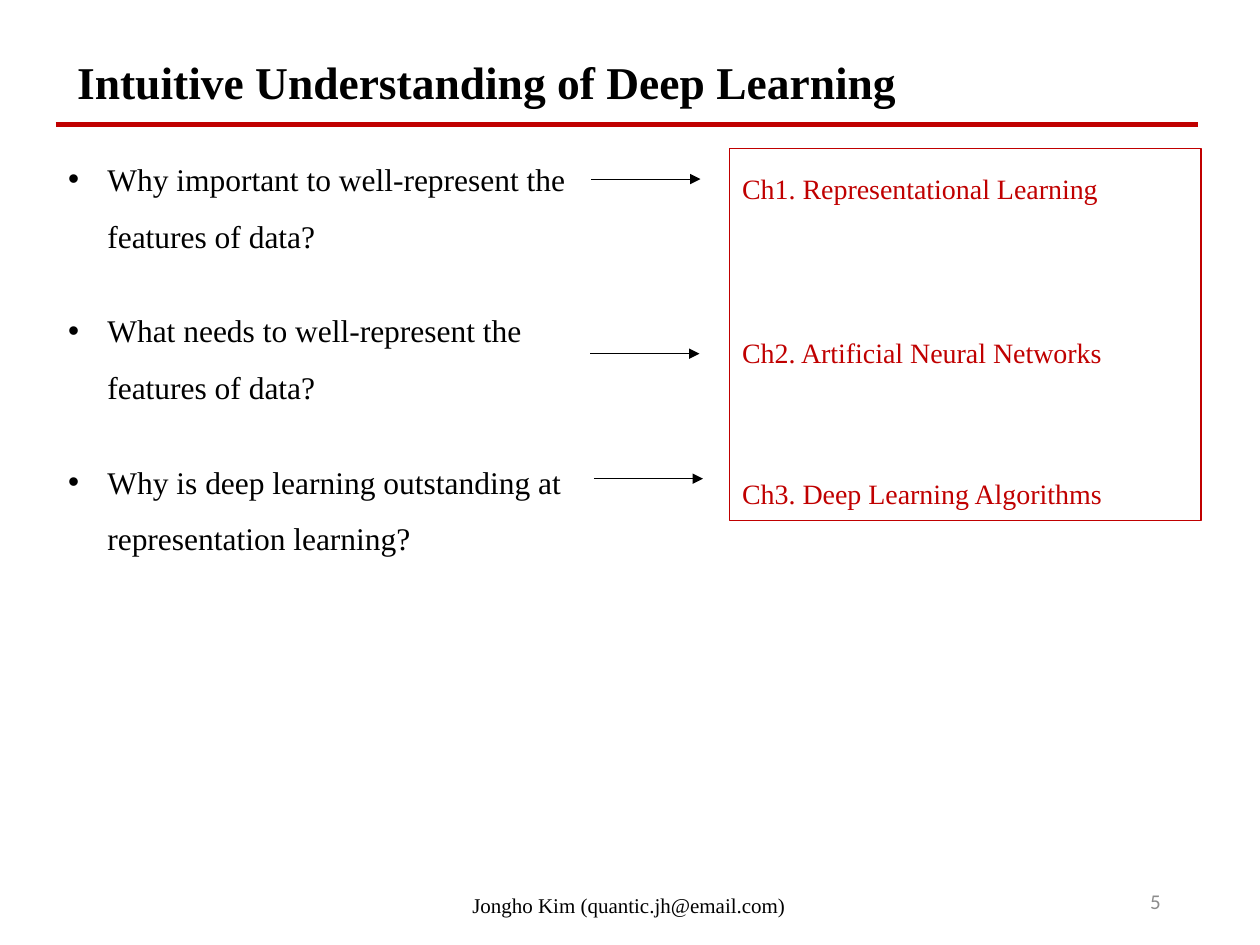
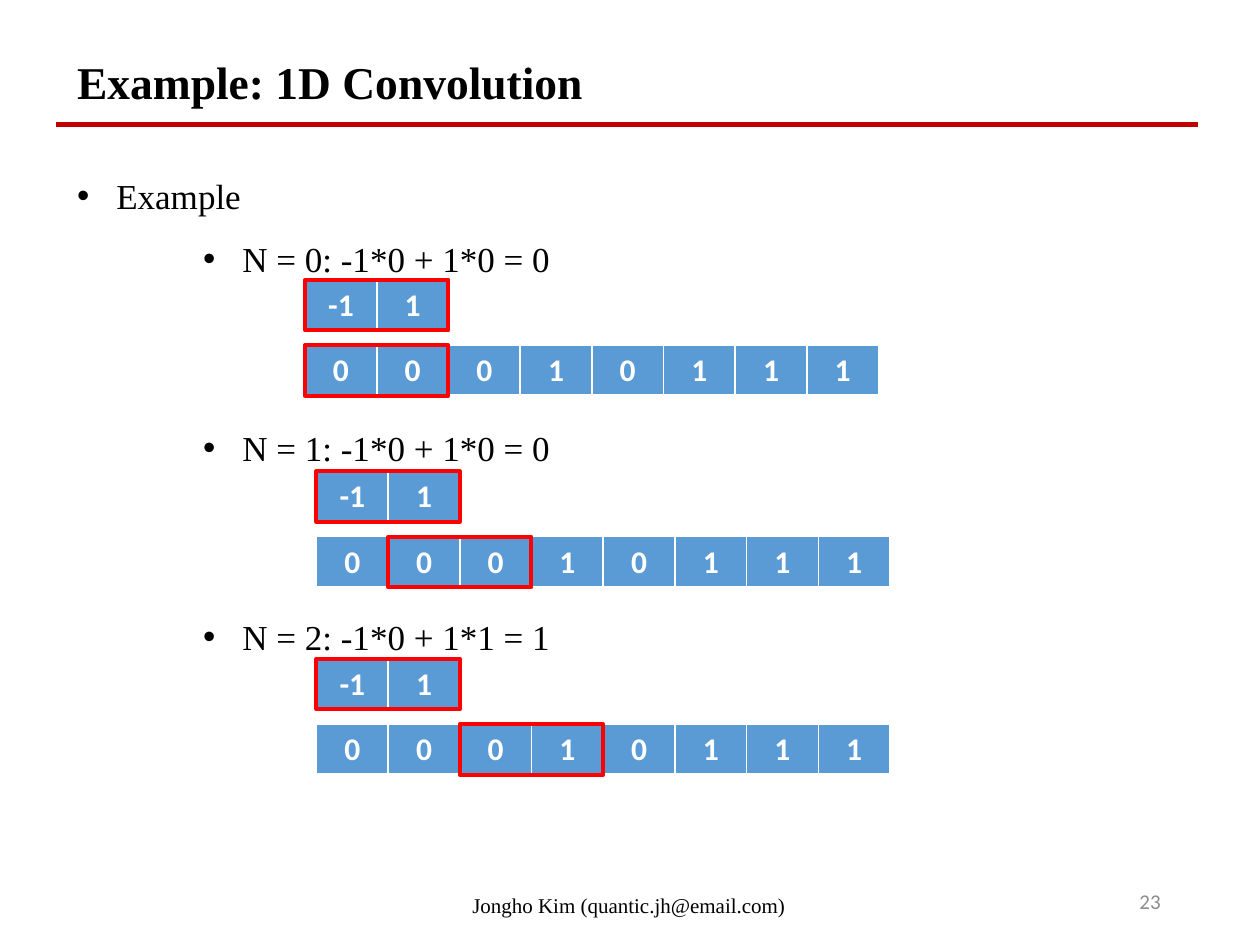
from collections import namedtuple

from lxml.etree import SubElement
from pptx import Presentation
from pptx.dml.color import RGBColor
from pptx.enum.shapes import MSO_CONNECTOR, MSO_SHAPE
from pptx.enum.text import MSO_ANCHOR, MSO_AUTO_SIZE, PP_ALIGN
from pptx.oxml.ns import qn
from pptx.util import Cm, Pt

BLACK = RGBColor(0x00, 0x00, 0x00)
WHITE = RGBColor(0xFF, 0xFF, 0xFF)
GRAY = RGBColor(0x8C, 0x8C, 0x8C)
CRIMSON = RGBColor(0xC0, 0x00, 0x00)
RED = RGBColor(0xFF, 0x00, 0x00)
BLUE = RGBColor(0x5B, 0x9B, 0xD5)

SERIF, SANS = "Times New Roman", "Calibri"
LEADING = 1.8
HANGING = Cm(0.79)
LEVEL_STEP = Cm(1.27)

Box = namedtuple("Box", "left top width height")
Line = namedtuple("Line", "text space_before level", defaults=(0, 0))

TITLE_BOX = Box(Cm(1.3), Cm(0.41), Cm(22.83), Cm(1.73))
RULE_BOX = Box(Cm(1.12), Cm(2.51), Cm(23.04), 0)
FOOTER_BOX = Box(Cm(5.16), Cm(17.86), Cm(15.04), Cm(0.76))
NUMBER_BOX = Box(Cm(17.93), Cm(17.65), Cm(5.72), Cm(1.02))

KERNEL = ("-1", "1")
SIGNAL = ("0", "0", "0", "1", "0", "1", "1", "1")
CELL_WIDTH = Cm(11.56) // len(SIGNAL)
CELL_HEIGHT = Cm(1.02)
SIGNAL_DROP = Cm(1.32)


def set_all(target, **values):
    for attribute, value in values.items():
        setattr(target, attribute, value)


def write_lines(frame, lines, size, color=BLACK, font=SERIF, bold=False,
                align=PP_ALIGN.LEFT, anchor=MSO_ANCHOR.TOP, leading=LEADING,
                bulleted=False):
    """Fill a text frame with evenly led paragraphs in one text style."""
    set_all(frame, word_wrap=True, auto_size=MSO_AUTO_SIZE.NONE,
            vertical_anchor=anchor)
    for index, line in enumerate(lines):
        paragraph = frame.add_paragraph() if index else frame.paragraphs[0]
        set_all(paragraph, alignment=align, level=line.level,
                space_before=Pt(line.space_before), space_after=Pt(0),
                line_spacing=Pt(size * leading) if leading else 1.0)
        if bulleted:
            properties = paragraph._p.get_or_add_pPr()
            properties.set("marL", str(HANGING + line.level * LEVEL_STEP))
            properties.set("indent", str(-HANGING))
        run = paragraph.add_run()
        run.text = line.text
        set_all(run.font, size=Pt(size), name=font, bold=bold)
        run.font.color.rgb = color


def place(shape, box):
    set_all(shape, **box._asdict())


def add_line(slide, box, color, weight, arrow=False):
    connector = slide.shapes.add_connector(
        MSO_CONNECTOR.STRAIGHT, box.left, box.top,
        box.left + box.width, box.top + box.height)
    connector.line.color.rgb = color
    connector.line.width = Pt(weight)
    if arrow:
        SubElement(connector.line._get_or_add_ln(), qn("a:tailEnd"), type="triangle")
    SubElement(connector._element.spPr, qn("a:effectLst"))


def add_frame(slide, box, color, weight):
    """Add an unfilled rectangle with a coloured outline."""
    frame = slide.shapes.add_shape(MSO_SHAPE.RECTANGLE, *box)
    frame.shadow.inherit = False
    frame.fill.background()
    frame.line.color.rgb = color
    frame.line.width = Pt(weight)
    return frame


def add_base_slide(deck, title, number):
    """Add a slide with its title, rule, footer and page number."""
    slide = deck.slides.add_slide(deck.slide_layouts[1])
    place(slide.shapes.title, TITLE_BOX)
    write_lines(slide.shapes.title.text_frame, [Line(title)], 26, bold=True)
    add_line(slide, RULE_BOX, CRIMSON, 3)
    footer = slide.shapes.add_textbox(*FOOTER_BOX)
    write_lines(footer.text_frame, [Line("Jongho Kim (quantic.jh@email.com)")], 12,
                align=PP_ALIGN.CENTER, leading=None)
    page = slide.shapes.add_textbox(*NUMBER_BOX)
    write_lines(page.text_frame, [Line(str(number))], 12, color=GRAY, font=SANS,
                align=PP_ALIGN.RIGHT, anchor=MSO_ANCHOR.MIDDLE, leading=None)
    return slide


def fill_body(slide, box, lines, size):
    body = slide.placeholders[1]
    place(body, box)
    write_lines(body.text_frame, lines, size, bulleted=True)


def add_chapters(slide, box):
    chapters = [Line("Ch1. Representational Learning"),
                Line("Ch2. Artificial Neural Networks", 64.5),
                Line("Ch3. Deep Learning Algorithms", 51.8)]
    panel = add_frame(slide, box, CRIMSON, 0.75)
    write_lines(panel.text_frame, chapters, 16, color=CRIMSON)


def add_number_row(slide, left, top, numbers):
    table = slide.shapes.add_table(1, len(numbers), left, top,
                                   CELL_WIDTH * len(numbers), CELL_HEIGHT).table
    set_all(table, first_row=False, horz_banding=False)
    table.rows[0].height = CELL_HEIGHT
    for column, cell, number in zip(table.columns, table.rows[0].cells, numbers):
        column.width = CELL_WIDTH
        properties = cell._tc.get_or_add_tcPr()
        for side, weight in {"L": 1, "R": 1, "T": 1, "B": 3}.items():
            border = SubElement(properties, qn(f"a:ln{side}"), w=str(Pt(weight)))
            fill = SubElement(border, qn("a:solidFill"))
            SubElement(fill, qn("a:srgbClr"), val=str(WHITE))
        cell.fill.solid()
        cell.fill.fore_color.rgb = BLUE
        paragraph = cell.text_frame.paragraphs[0]
        paragraph.alignment = PP_ALIGN.CENTER
        run = paragraph.add_run()
        run.text = number
        set_all(run.font, size=Pt(18), name=SANS, bold=True)
        run.font.color.rgb = WHITE


def add_convolution_step(slide, left, top, step):
    """Show the kernel above the signal, framing the window at this step."""
    signal_top = top + SIGNAL_DROP
    window = CELL_WIDTH * len(KERNEL)
    add_number_row(slide, left, top, KERNEL)
    add_number_row(slide, left, signal_top, SIGNAL)
    add_frame(slide, Box(left, top, window, CELL_HEIGHT), RED, 2.25)
    add_frame(slide, Box(left + step * CELL_WIDTH, signal_top, window, CELL_HEIGHT),
              RED, 2.25)


def build_overview(deck):
    slide = add_base_slide(deck, "Intuitive Understanding of Deep Learning", 5)
    questions = [
        Line("Why important to well-represent the features of data?"),
        Line("What needs to well-represent the features of data?", 21.6),
        Line("Why is deep learning outstanding at representation learning?", 21.6)]
    fill_body(slide, Box(Cm(1.12), Cm(2.72), Cm(11.38), Cm(8.71)), questions, 18)
    add_chapters(slide, Box(Cm(14.71), Cm(3), Cm(9.5), Cm(7.49)))
    for left, top in ((11.92, 3.61), (11.9, 7.13), (11.97, 9.65)):
        add_line(slide, Box(Cm(left), Cm(top), Cm(2.2), 0), BLACK, 0.5, arrow=True)


def build_convolution(deck):
    slide = add_base_slide(deck, "Example: 1D Convolution", 23)
    lines = [Line("Example"),
             Line("N = 0: -1*0 + 1*0 = 0", 0, 2),
             Line("N = 1: -1*0 + 1*0 = 0", 72, 2),
             Line("N = 2: -1*0 + 1*1 = 1", 72, 2)]
    fill_body(slide, Box(Cm(1.3), Cm(2.97), Cm(12.7), Cm(10.52)), lines, 20)
    for step, (left, top) in enumerate(((6.15, 5.64), (6.38, 9.5), (6.38, 13.28))):
        add_convolution_step(slide, Cm(left), Cm(top), step)


def main():
    deck = Presentation()
    set_all(deck, slide_width=Cm(25.4), slide_height=Cm(19.05))
    build_overview(deck)
    build_convolution(deck)
    deck.save("out.pptx")


if __name__ == "__main__":
    main()
